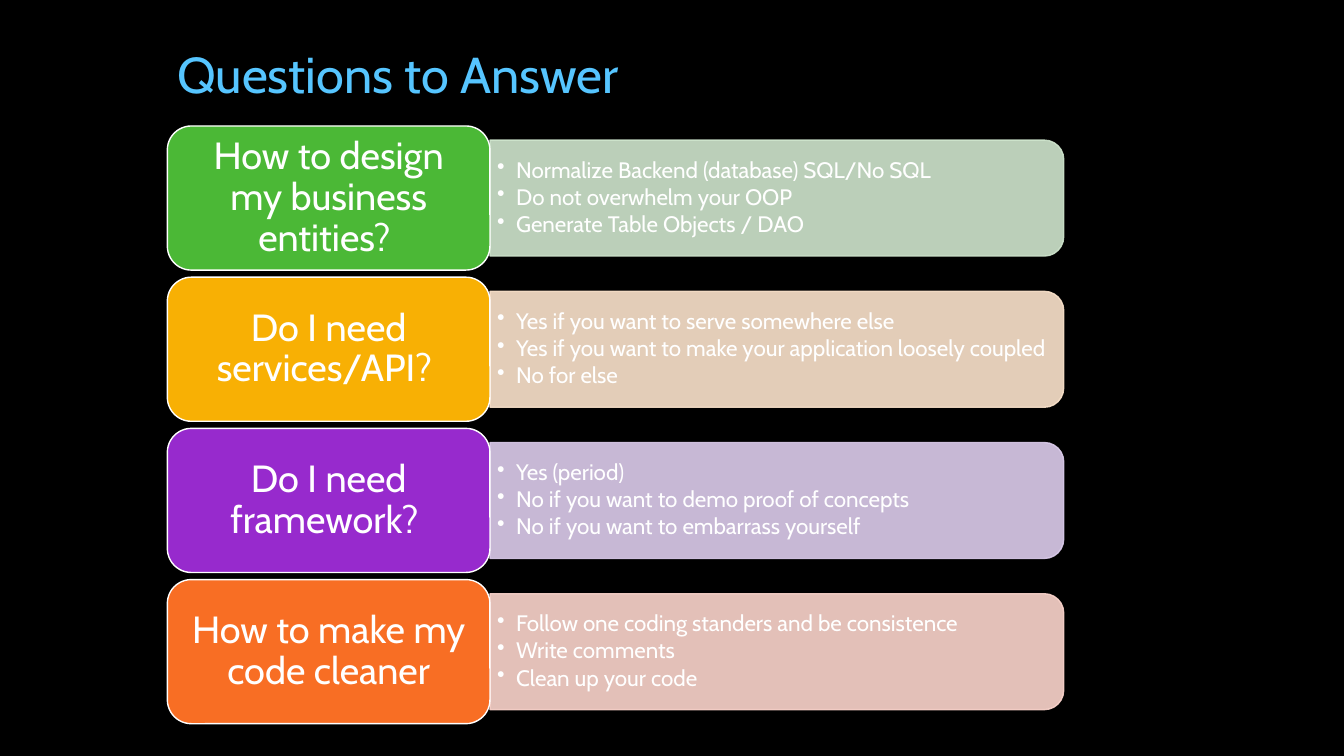
from lxml.etree import SubElement
from pptx import Presentation
from pptx.dml.color import RGBColor
from pptx.enum.shapes import MSO_SHAPE
from pptx.enum.text import MSO_ANCHOR, PP_ALIGN
from pptx.oxml.ns import qn
from pptx.util import Inches, Pt

FONT = "Cabin"
WHITE = "FFFFFF"
LEFT, TOP = 1.66, 1.25
ROW_WIDTH, ROW_HEIGHT, ROW_PITCH = 8.89, 1.43, 1.5
QUESTION_WIDTH = 3.2
PANEL_INSET = 0.14

ROWS = [
    ("How to design my business entities? ", "4BB836", "D0E6CE",
     ["Normalize Backend (database) SQL/No SQL",
      "Do not overwhelm your OOP",
      "Generate Table Objects / DAO"]),
    ("Do I need services/API? ", "F8B004", "FCE4CC",
     ["Yes if you want to serve somewhere else",
      "Yes if you want to make your application loosely coupled",
      "No for else"]),
    ("Do I need framework? ", "972ACD", "DDCDED",
     ["Yes (period)",
      "No if you want to demo proof of concepts",
      "No if you want to embarrass yourself"]),
    ("How to make my code cleaner", "F86E24", "FCD5CD",
     ["Follow one coding standers and be consistence",
      "Write comments",
      "Clean up your code"]),
]


def color(value):
    return RGBColor.from_string(value)


def paint(shape, fill, line):
    shape.shadow.inherit = False
    shape.fill.solid()
    shape.fill.fore_color.rgb = color(fill)
    shape.line.color.rgb = color(line)
    shape.line.width = Pt(1)


def set_opacity(shape, percent):
    for tint in shape._element.spPr.iter(qn("a:srgbClr")):
        SubElement(tint, qn("a:alpha"), val=str(percent * 1000))


def write(frame, text, size, ink, margins, anchor, align=PP_ALIGN.LEFT, after=0):
    frame.word_wrap = True
    frame.vertical_anchor = anchor
    frame.margin_left = frame.margin_right = Inches(margins[0])
    frame.margin_top = frame.margin_bottom = Inches(margins[1])
    frame.text = text
    for para in frame.paragraphs:
        para.alignment = align
        para.line_spacing = 0.9
        para.space_after = Pt(after)
        for span in para.runs:
            span.font.name = FONT
            span.font.size = Pt(size)
            span.font.color.rgb = color(ink)


def add_bullet(para):
    properties = para._p.get_or_add_pPr()
    properties.set("marL", str(Inches(0.19)))
    properties.set("indent", str(-Inches(0.19)))
    SubElement(properties, qn("a:buChar"), char="•")


def add_title(page, left, top, width, height):
    box = page.shapes.add_textbox(Inches(left), Inches(top), Inches(width), Inches(height))
    write(box.text_frame, "Questions to Answer", 36, "56C5FF", (0.1, 0.05), MSO_ANCHOR.BOTTOM)


def add_answers(page, left, top, width, height, tint, answers):
    panel = page.shapes.add_shape(
        MSO_SHAPE.ROUND_2_SAME_RECTANGLE,
        Inches(left + (width - height) / 2), Inches(top + (height - width) / 2),
        Inches(height), Inches(width))
    panel.rotation = 90
    paint(panel, tint, tint)
    set_opacity(panel, 90)

    box = page.shapes.add_textbox(
        Inches(left), Inches(top + 0.06), Inches(width - 0.06), Inches(height - 0.12))
    write(box.text_frame, "\n".join(answers), 16, WHITE, (0.07, 0.03),
          MSO_ANCHOR.MIDDLE, after=2.2)
    for para in box.text_frame.paragraphs:
        add_bullet(para)


def add_question(page, left, top, width, height, fill, question):
    card = page.shapes.add_shape(
        MSO_SHAPE.ROUNDED_RECTANGLE, Inches(left), Inches(top), Inches(width), Inches(height))
    paint(card, fill, WHITE)
    write(card.text_frame, question, 27, WHITE, (0.11, 0.06),
          MSO_ANCHOR.MIDDLE, PP_ALIGN.CENTER)


def add_row(page, left, top, width, height, row):
    question, fill, tint, answers = row
    add_answers(page, left + QUESTION_WIDTH, top + PANEL_INSET,
                width - QUESTION_WIDTH, height - 2 * PANEL_INSET, tint, answers)
    add_question(page, left, top, QUESTION_WIDTH, height, fill, question)


def main():
    deck = Presentation()
    deck.slide_width, deck.slide_height = Inches(13.33), Inches(7.5)
    page = deck.slides.add_slide(deck.slide_layouts[6])
    page.background.fill.solid()
    page.background.fill.fore_color.rgb = color("000000")
    add_title(page, LEFT, 0.42, 10, 0.67)
    for index, row in enumerate(ROWS):
        add_row(page, LEFT, TOP + index * ROW_PITCH, ROW_WIDTH, ROW_HEIGHT, row)
    deck.save("out.pptx")


if __name__ == "__main__":
    main()
